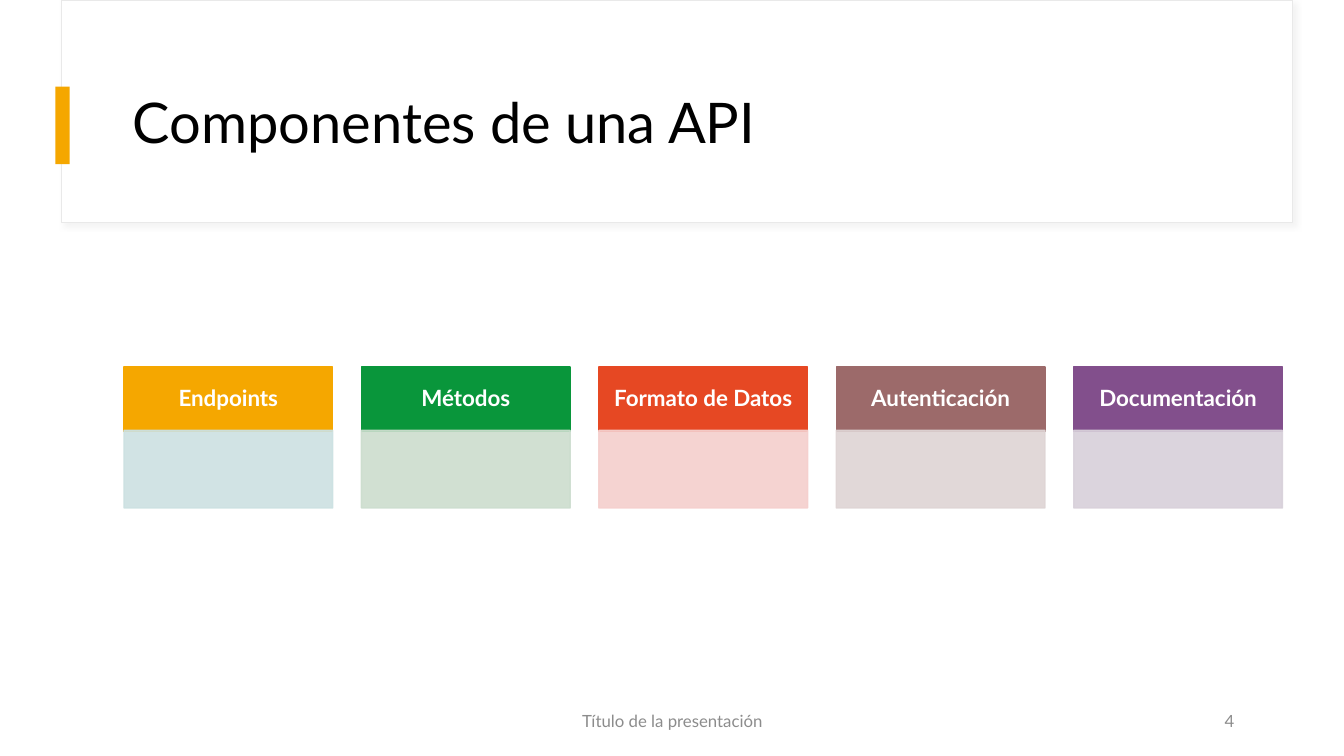
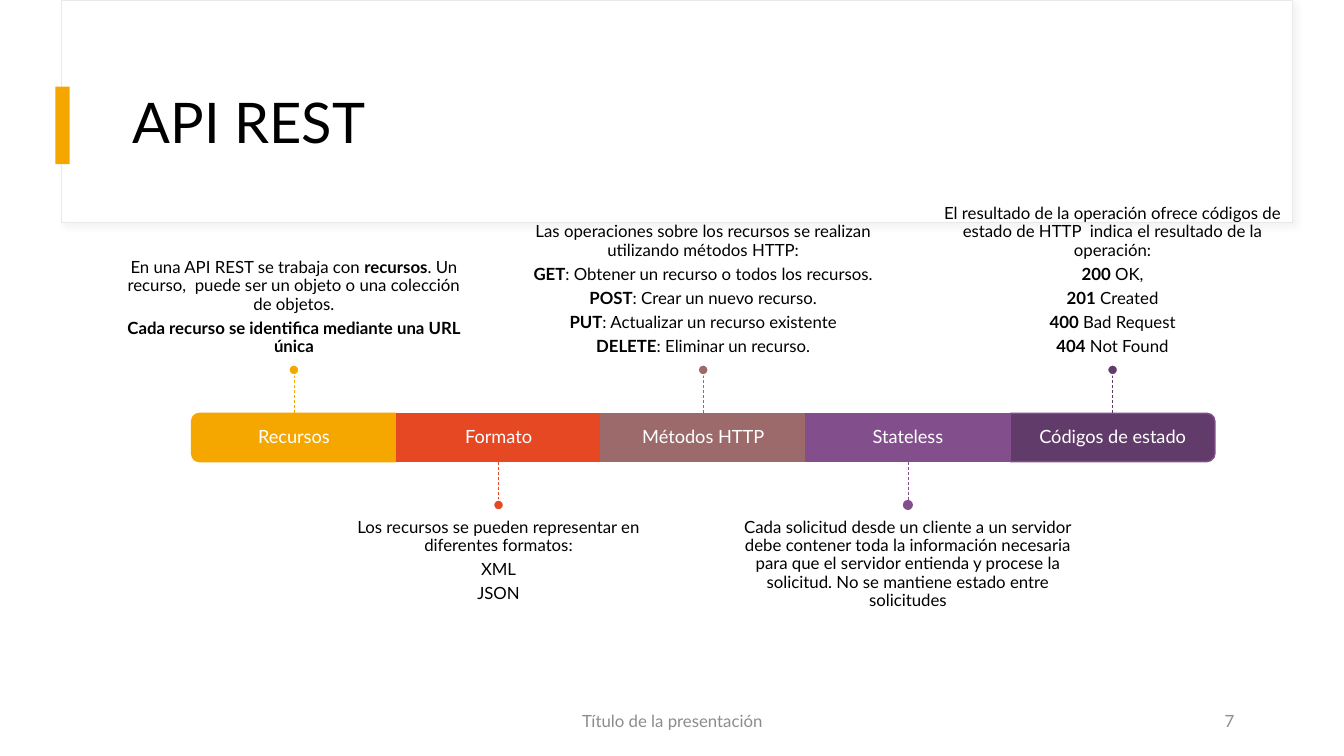
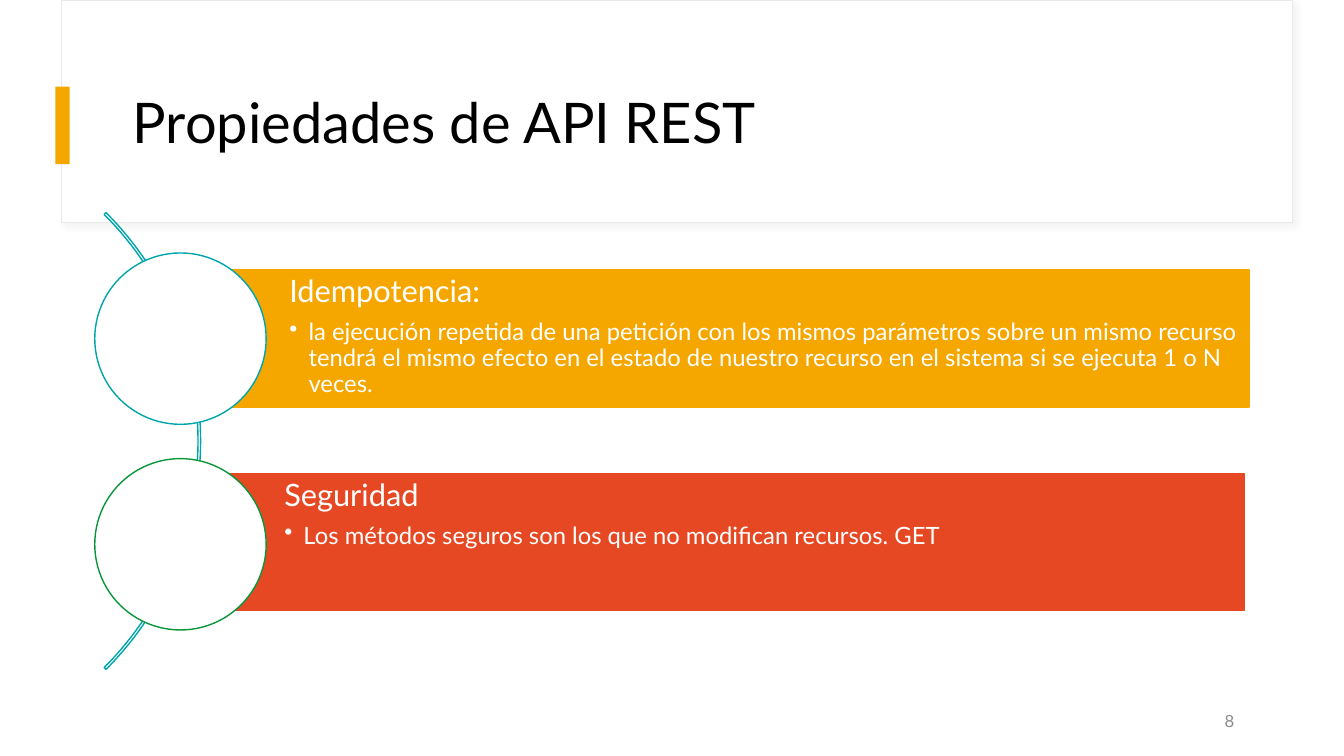
import pptx
import pptx.dml.color
import pptx.enum.dml
import pptx.enum.shapes
import pptx.enum.text
import pptx.oxml.ns
import pptx.util
from lxml import etree

Inches = pptx.util.Inches
Pt = pptx.util.Pt
RGBColor = pptx.dml.color.RGBColor
Shape = pptx.enum.shapes.MSO_SHAPE
Align = pptx.enum.text.PP_ALIGN
Anchor = pptx.enum.text.MSO_ANCHOR
qn = pptx.oxml.ns.qn

FONT = "Lato"
BLACK = RGBColor(0x00, 0x00, 0x00)
WHITE = RGBColor(0xFF, 0xFF, 0xFF)
GREY = RGBColor(0x8C, 0x8C, 0x8C)
FRAME_GREY = RGBColor(0xE9, 0xE9, 0xE9)
AMBER = RGBColor(0xF5, 0xA7, 0x00)
GREEN = RGBColor(0x09, 0x96, 0x3B)
RED = RGBColor(0xE6, 0x48, 0x23)
BROWN = RGBColor(0x9C, 0x6A, 0x6A)
PURPLE = RGBColor(0x82, 0x4F, 0x8C)
DARK_PURPLE = RGBColor(0x61, 0x3B, 0x69)
TEAL = RGBColor(0x00, 0xA5, 0xAB)
PALE_BLUE = RGBColor(0xCC, 0xE1, 0xE2)
PALE_GREEN = RGBColor(0xCC, 0xDD, 0xCE)
PALE_RED = RGBColor(0xF5, 0xCF, 0xCD)
PALE_BROWN = RGBColor(0xDE, 0xD4, 0xD4)
PALE_PURPLE = RGBColor(0xD8, 0xD0, 0xDA)


def add_shape(slide, kind, box, fill=None, line=None, width=1):
    shape = slide.shapes.add_shape(kind, *[Inches(value) for value in box])
    shape.shadow.inherit = False
    if fill is None:
        shape.fill.background()
    else:
        shape.fill.solid()
        shape.fill.fore_color.rgb = fill
    if line is None:
        shape.line.fill.background()
    else:
        shape.line.color.rgb = line
        shape.line.width = Pt(width)
    return shape


def add_text(slide, target, lines, size, color, align=Align.CENTER, anchor=Anchor.MIDDLE,
             insets=(0.1, 0.05, 0.1, 0.05), spacing=0.9, after=0.35):
    """Write lines into a shape or a new box at target; *asterisks* mark bold."""
    if isinstance(target, tuple):
        target = slide.shapes.add_textbox(*[Inches(value) for value in target])
    frame = target.text_frame
    frame.word_wrap = True
    frame.vertical_anchor = anchor
    frame.margin_left, frame.margin_top, frame.margin_right, frame.margin_bottom = map(Inches, insets)
    for index, line in enumerate(lines):
        paragraph = frame.paragraphs[0] if index == 0 else frame.add_paragraph()
        paragraph.alignment = align
        paragraph.line_spacing = spacing
        paragraph.space_after = Pt(size * after)
        for part, words in enumerate(line.split("*")):
            if words:
                run = paragraph.add_run()
                run.text = words
                run.font.name = FONT
                run.font.size = Pt(size)
                run.font.bold = part % 2 == 1
                run.font.color.rgb = color
    return frame


presentation = pptx.Presentation()
presentation.slide_width = Inches(13.33)
presentation.slide_height = Inches(7.5)

# Title frame, accent, title and footer of every slide
FOOTER = "Título de la presentación"
slides = []
for title, footer, number in [
    ("Componentes de una API", FOOTER, "4"),
    ("API REST", FOOTER, "7"),
    ("Propiedades de API REST", None, "8"),
]:
    slide = presentation.slides.add_slide(presentation.slide_layouts[6])
    slides.append(slide)
    title_frame = add_shape(slide, Shape.RECTANGLE, (0.61, 0, 12.21, 2.21), WHITE, FRAME_GREY, 0.75)
    effects = title_frame._element.spPr.find(qn("a:effectLst"))
    shadow = etree.SubElement(effects, qn("a:outerShdw"), blurRad=str(Pt(4)), dist=str(Pt(3)),
                              dir="2700000", algn="tl", rotWithShape="0")
    shadow_color = etree.SubElement(shadow, qn("a:srgbClr"), val="D9D9D9")
    etree.SubElement(shadow_color, qn("a:alpha"), val="30000")
    add_shape(slide, Shape.RECTANGLE, (0.55, 0.86, 0.14, 0.77), AMBER)
    add_text(slide, (1.22, 0.6, 11.12, 1.29), [title], 40, BLACK, Align.LEFT, after=0)
    if footer:
        add_text(slide, (4.42, 6.95, 4.5, 0.4), [footer], 12, GREY, spacing=1, after=0)
    add_text(slide, (9.34, 6.95, 3, 0.4), [number], 12, GREY, Align.RIGHT, spacing=1, after=0)

components_slide, rest_slide, properties_slide = slides

# Components: five headed panels
components = [
    ("Endpoints", AMBER, PALE_BLUE),
    ("Métodos", GREEN, PALE_GREEN),
    ("Formato de Datos", RED, PALE_RED),
    ("Autenticación", BROWN, PALE_BROWN),
    ("Documentación", PURPLE, PALE_PURPLE),
]
PANEL_LEFT, PANEL_RIGHT, PANEL_WIDTH = 1.23, 12.72, 2.07
panel_step = (PANEL_RIGHT - PANEL_LEFT - PANEL_WIDTH) / (len(components) - 1)
for index, (name, color, pale) in enumerate(components):
    left = PANEL_LEFT + index * panel_step
    header = add_shape(components_slide, Shape.RECTANGLE, (left, 3.64, PANEL_WIDTH, 0.64), color, color)
    add_text(components_slide, header, [f"*{name}*"], 16, WHITE, insets=(0.12, 0.07, 0.12, 0.07))
    body = add_shape(components_slide, Shape.RECTANGLE, (left, 4.27, PANEL_WIDTH, 0.77), pale, pale)
    for body_color in body._element.spPr.iter(qn("a:srgbClr")):
        etree.SubElement(body_color, qn("a:alpha"), val="90000")

# REST: one segmented bar, notes alternately above and below
segments = [
    ("Recursos", AMBER, AMBER, WHITE, [
        "En una API REST se trabaja con *recursos*. Un recurso,  puede ser un objeto o una "
        "colección de objetos.",
        "*Cada recurso se identifica mediante una URL única*"]),
    ("Formato", RED, RED, WHITE, [
        "Los recursos se pueden representar en diferentes formatos:", "XML", "JSON"]),
    ("Métodos HTTP", BROWN, BROWN, WHITE, [
        "Las operaciones sobre los recursos se realizan utilizando métodos HTTP:",
        "*GET*: Obtener un recurso o todos los recursos.",
        "*POST*: Crear un nuevo recurso.",
        "*PUT*: Actualizar un recurso existente",
        "*DELETE*: Eliminar un recurso."]),
    ("Stateless", PURPLE, PURPLE, None, [
        "Cada solicitud desde un cliente a un servidor debe contener toda la información "
        "necesaria para que el servidor entienda y procese la solicitud. No se mantiene "
        "estado entre solicitudes"]),
    ("Códigos de estado", DARK_PURPLE, PURPLE, WHITE, [
        "El resultado de la operación ofrece códigos de estado de HTTP  indica el resultado "
        "de la operación:",
        "*200* OK,", "*201* Created", "*400* Bad Request", "*404* Not Found"]),
]
BAR_LEFT, BAR_TOP, BAR_HEIGHT, SEGMENT_WIDTH = 1.9, 4.1, 0.48, 2.03
STEM, DOT, NOTE_WIDTH, NOTE_HEIGHT = 0.38, 0.1, 3.38, 1.67
end_rotations = {0: 270, len(segments) - 1: 90}
for index, (name, color, edge, dot_edge, note) in enumerate(segments):
    left = BAR_LEFT + index * SEGMENT_WIDTH
    center = left + SEGMENT_WIDTH / 2
    above = index % 2 == 0
    segment_box = (left, BAR_TOP, SEGMENT_WIDTH, BAR_HEIGHT)
    if index in end_rotations:
        turned_box = (center - BAR_HEIGHT / 2, BAR_TOP + (BAR_HEIGHT - SEGMENT_WIDTH) / 2,
                      BAR_HEIGHT, SEGMENT_WIDTH)
        segment = add_shape(rest_slide, Shape.ROUND_2_SAME_RECTANGLE, turned_box, color, edge)
        segment.rotation = end_rotations[index]
        label = segment_box
    else:
        segment = label = add_shape(rest_slide, Shape.RECTANGLE, segment_box, color, edge)
    add_text(rest_slide, label, [name], 13, WHITE, insets=(0.11, 0.11, 0.11, 0.11))

    if above:
        stem_start, stem_end = BAR_TOP, BAR_TOP - STEM
        dot_top, note_top = stem_end - DOT, 1.96
        note_anchor, note_insets = Anchor.BOTTOM, (0, 0, 0, 0.1)
    else:
        stem_start = BAR_TOP + BAR_HEIGHT
        stem_end = dot_top = stem_start + STEM
        note_top = 5.05
        note_anchor, note_insets = Anchor.TOP, (0, 0.1, 0, 0)
    add_text(rest_slide, (center - NOTE_WIDTH / 2, note_top, NOTE_WIDTH, NOTE_HEIGHT), note, 12, BLACK,
             anchor=note_anchor, insets=note_insets)
    stem = rest_slide.shapes.add_connector(
        pptx.enum.shapes.MSO_CONNECTOR.STRAIGHT,
        Inches(center), Inches(stem_start), Inches(center), Inches(stem_end))
    if index not in end_rotations:
        stem.begin_connect(segment, 0 if above else 2)
    stem.line.color.rgb = color
    stem.line.width = Pt(0.5)
    stem.line.dash_style = pptx.enum.dml.MSO_LINE.DASH
    etree.SubElement(stem._element.spPr, qn("a:effectLst"))
    add_shape(rest_slide, Shape.OVAL, (center - DOT / 2, dot_top, DOT, DOT), color, dot_edge)

# Properties: two cards hung on an arc
arc = add_shape(properties_slide, Shape.BLOCK_ARC, (-4.42, 1.17, 6.41, 6.41), None, TEAL)
for index, value in enumerate((189, 27, 0.004)):
    arc.adjustments[index] = value
for heading, detail, left, top, circle_top, color, ring in [
    ("Idempotencia:",
     "la ejecución repetida de una petición con los mismos parámetros sobre un mismo recurso tendrá "
     "el mismo efecto en el estado de nuestro recurso en el sistema si se ejecuta 1 o N veces.",
     1.79, 2.68, 2.51, AMBER, TEAL),
    ("Seguridad", "Los métodos seguros son los que no modifican recursos. GET",
     1.74, 4.7, 4.55, RED, GREEN),
]:
    card = add_shape(properties_slide, Shape.RECTANGLE, (left, top, 10.6, 1.36), color, color)
    frame = add_text(properties_slide, card, [heading, detail], 22, WHITE, Align.LEFT, Anchor.TOP,
                     (1.08, 0.06, 0.06, 0.06))
    bullet = frame.paragraphs[1]
    bullet.level = 1
    bullet.space_after = Pt(2.5)
    bullet_properties = bullet._p.get_or_add_pPr()
    bullet_properties.set("marL", str(Inches(0.19)))
    bullet_properties.set("indent", str(Inches(-0.19)))
    etree.SubElement(bullet_properties, qn("a:buChar"), char="•")
    bullet.runs[0].font.size = Pt(17)
    add_shape(properties_slide, Shape.OVAL, (0.94, circle_top, 1.7, 1.7), WHITE, ring)

presentation.save("out.pptx")
